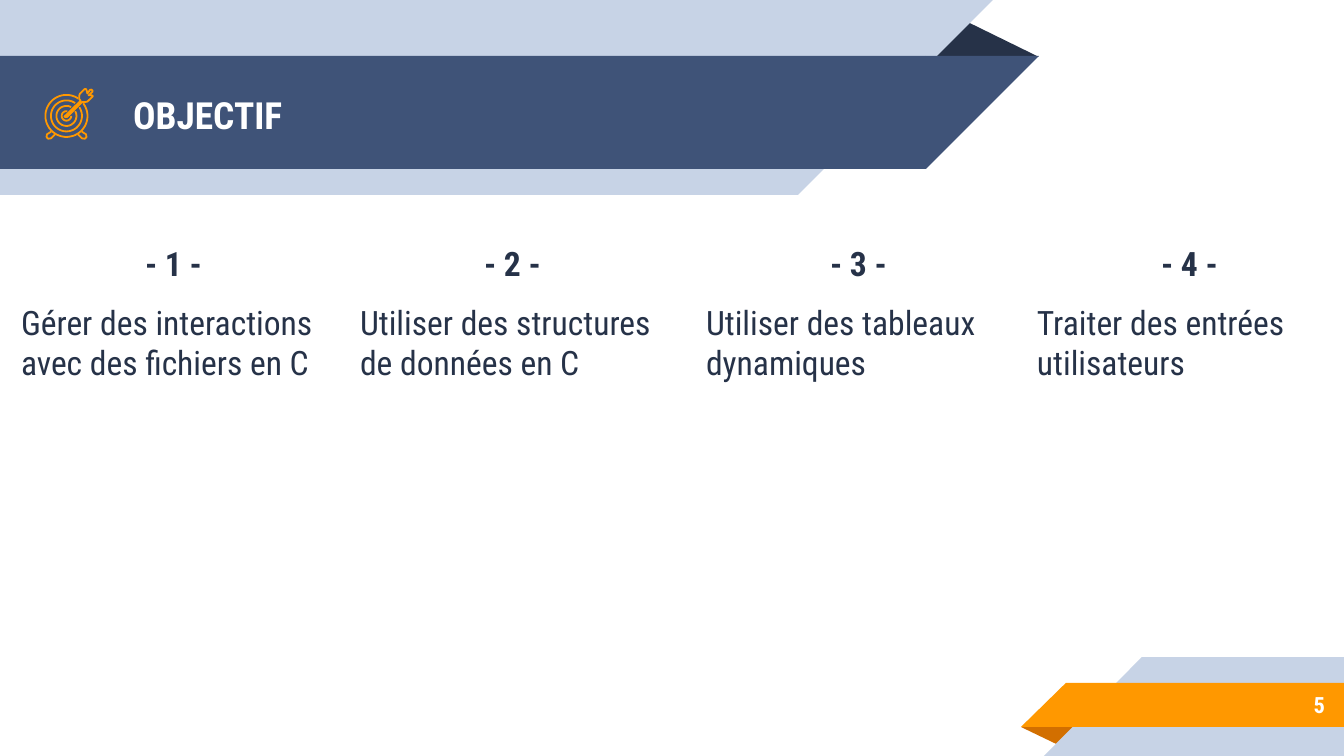
import math

from lxml import etree
from pptx import Presentation
from pptx import util as u
from pptx.dml.color import RGBColor
from pptx.enum import shapes, text
from pptx.oxml import ns

PX = 914400 / 134.4
NAVY = RGBColor(0x26, 0x32, 0x48)
BLUE = RGBColor(0x3F, 0x53, 0x78)
PALE = RGBColor(0xC7, 0xD3, 0xE6)
ORANGE = RGBColor(0xFF, 0x98, 0x00)
RUST = RGBColor(0xD2, 0x6F, 0x00)
WHITE = RGBColor(0xFF, 0xFF, 0xFF)
FONT = "Roboto Condensed"
KIND = shapes.MSO_SHAPE
ALIGN = text.PP_ALIGN
ANCHOR = text.MSO_ANCHOR


def write(box, place, anchor, lines):
    for name, value in zip(("left", "top", "width", "height"), place):
        setattr(box, name, round(value * PX))
    frame = box.text_frame
    inset = round(13 * PX)
    layout = {
        "word_wrap": True,
        "auto_size": text.MSO_AUTO_SIZE.NONE,
        "vertical_anchor": anchor,
        "margin_left": inset,
        "margin_top": inset,
        "margin_right": inset,
        "margin_bottom": inset,
    }
    for name, value in layout.items():
        setattr(frame, name, value)
    for index, (words, size, bold, color, align, before) in enumerate(lines):
        para = frame.add_paragraph() if index else frame.paragraphs[0]
        spacing = {"alignment": align, "space_before": u.Pt(before), "space_after": u.Pt(0)}
        for name, value in spacing.items():
            setattr(para, name, value)
        properties = para._p.get_or_add_pPr()
        properties.set("marL", "0")
        properties.set("indent", "0")
        etree.SubElement(properties, ns.qn("a:buNone"))
        span = para.add_run()
        span.text = words
        for name, value in {"name": FONT, "size": u.Pt(size), "bold": bold}.items():
            setattr(span.font, name, value)
        span.font.color.rgb = color


def outline(points, close=False):
    builder = page.shapes.build_freeform(*points[0], scale=PX / 10)
    builder.add_line_segments(points[1:], close=close)
    shape = builder.convert_to_shape()
    shape.shadow.inherit = False
    shape.fill.background()
    shape.line.color.rgb = ORANGE
    shape.line.width = u.Pt(0.96)


deck = Presentation()
deck.slide_width = round(1344 * PX)
deck.slide_height = round(756 * PX)
page = deck.slides.add_slide(deck.slide_layouts.get_by_name("Comparison"))

ribbons = [
    (KIND.ISOSCELES_TRIANGLE, (925, 19, 114, 38), NAVY, {}),
    (KIND.RECTANGLE, (0, 0, 798, 195), PALE, {}),
    (KIND.RIGHT_TRIANGLE, (798, 0, 195, 195), PALE, {"flipV": "1"}),
    (KIND.RECTANGLE, (0, 56, 926, 113), BLUE, {}),
    (KIND.RIGHT_TRIANGLE, (926, 56, 113, 113), BLUE, {"flipV": "1"}),
    (KIND.ISOSCELES_TRIANGLE, (1021, 727, 58, 19), RUST, {"rot": "10800000"}),
    (KIND.RECTANGLE, (1142, 657, 202, 99), PALE, {}),
    (KIND.RIGHT_TRIANGLE, (1044, 657, 98, 99), PALE, {"flipH": "1"}),
    (KIND.RECTANGLE, (1066, 683, 278, 44), ORANGE, {}),
    (KIND.RIGHT_TRIANGLE, (1021, 683, 45, 44), ORANGE, {"flipH": "1"}),
]
for kind, place, color, turns in ribbons:
    ribbon = page.shapes.add_shape(kind, *(round(value * PX) for value in place))
    ribbon.shadow.inherit = False
    ribbon.fill.solid()
    ribbon.fill.fore_color.rgb = color
    ribbon.line.fill.background()
    if kind == KIND.ISOSCELES_TRIANGLE:
        ribbon.adjustments[0] = 0.32
    for name, value in turns.items():
        ribbon.element.spPr.xfrm.set(name, value)

title, *bodies = list(page.placeholders)[:5]
for box in (title, *bodies):
    page.shapes.element.append(box.element)

write(title, (120, 58, 773, 113), ANCHOR.MIDDLE,
      [("OBJECTIF", 20, True, WHITE, ALIGN.LEFT, 0)])

goals = [
    (8, "Gérer des interactions avec des ﬁchiers en C"),
    (347, "Utiliser des structures de données en C"),
    (693, "Utiliser des tableaux dynamiques"),
    (1024, "Traiter des entrées utilisateurs"),
]
for number, (box, (left, goal)) in enumerate(zip(bodies, goals), 1):
    write(box, (left, 230, 331, 398), ANCHOR.TOP, [
        (f"- {number} -", 18, True, NAVY, ALIGN.CENTER, 6),
        (goal, 18, False, NAVY, ALIGN.LEFT, 10),
    ])

write(page.shapes.add_textbox(0, 0, 0, 0), (1119, 681, 219, 47), ANCHOR.MIDDLE,
      [("5", 12, True, WHITE, ALIGN.RIGHT, 0)])

for radius, start, end in [(210, -37, 304), (155, -34, 304), (100, -28, 298), (47, 0, 280)]:
    angles = [math.radians(start + (end - start) * step / 60) for step in range(61)]
    outline([(round(665 + radius * math.cos(angle)), round(1160 + radius * math.sin(angle)))
             for angle in angles])

leg = [(511, 1317), (470, 1344), (465, 1370), (480, 1388), (510, 1384), (551, 1344)]
outline(leg)
outline([(1330 - x, y) for x, y in leg])

dart = [
    (914, 954), (887, 954), (925, 917), (925, 905), (914, 896), (900, 900),
    (874, 935), (867, 905), (860, 890), (847, 890), (800, 937), (793, 955),
    (793, 990), (806, 1008), (655, 1156), (645, 1165), (655, 1172), (672, 1169),
    (820, 1021), (850, 1021), (874, 1016), (927, 965), (925, 956),
]
outline(dart, close=True)

deck.save("out.pptx")
